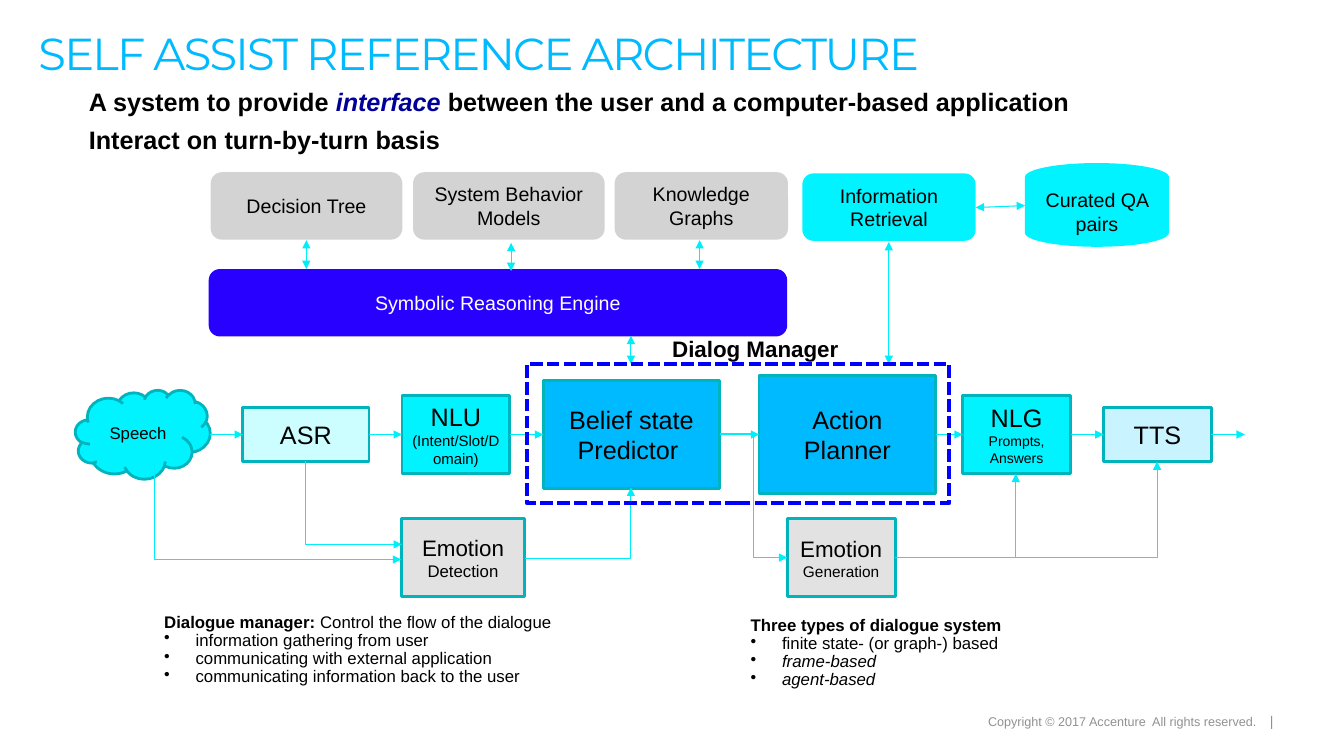
import dataclasses
import itertools

import lxml.etree
import pptx
import pptx.dml.color
import pptx.enum.dml
import pptx.enum.shapes
import pptx.enum.text
import pptx.oxml.ns
import pptx.util

Cm = pptx.util.Cm
Pt = pptx.util.Pt
SHAPE = pptx.enum.shapes.MSO_SHAPE
ALIGN = pptx.enum.text.PP_ALIGN
ANCHOR = pptx.enum.text.MSO_ANCHOR
qn = pptx.oxml.ns.qn


@dataclasses.dataclass(frozen=True)
class Theme:
    font: str = "Arial"
    title_font: str = "Montserrat"
    black: str = "000000"
    white: str = "FFFFFF"
    navy: str = "000099"
    footer: str = "919191"
    sky: str = "00BAFF"
    cyan: str = "00F3FF"
    ice: str = "CCFDFF"
    mist: str = "C9F3FF"
    silver: str = "D3D3D3"
    pale: str = "E2E2E2"
    engine: str = "2800FF"
    frame: str = "0000FF"
    edge: str = "00B4BD"
    arrow: str = "00EEF9"
    title: float = 32
    head: float = 18
    label: float = 16
    top: float = 14
    note: float = 12
    minor: float = 11
    slots: float = 10.7
    small: float = 10
    copyright: float = 9


T = Theme()
FLOW_Y = 10.95


def rgb(color):
    return pptx.dml.color.RGBColor.from_string(color)


def set_all(target, values):
    for name, value in values.items():
        setattr(target, name, value)


def add_run(p, text, size, color=T.black, font=T.font, **style):
    r = p.add_run()
    r.text = text
    set_all(r.font, {"name": font, "size": Pt(size), **style})
    r.font.color.rgb = rgb(color)
    return r


def write(tf, paragraphs, **layout):
    """Fill a frame; each paragraph is a list of (text, size, style) runs."""
    for i, runs in enumerate(paragraphs):
        p = tf.paragraphs[0] if i == 0 else tf.add_paragraph()
        set_all(p, layout)
        for text, size, style in runs:
            add_run(p, text, size, **style)


def set_bullet(p, indent=None):
    """Hang a bullet at the indent, or remove the inherited one."""
    pPr = p._p.get_or_add_pPr()
    pPr.set("marL", str(indent or 0))
    pPr.set("indent", str(-(indent or 0)))
    tag = "a:buChar" if indent else "a:buNone"
    bullet = lxml.etree.SubElement(pPr, qn(tag))
    if indent:
        bullet.set("char", "•")


def place(sp, left, top, width, height):
    set_all(sp, {"left": Cm(left), "top": Cm(top), "width": Cm(width), "height": Cm(height)})


def no_margins(tf):
    set_all(tf, dict.fromkeys(["margin_left", "margin_top", "margin_right", "margin_bottom"], 0))


def add_text(slide, left, top, width, height):
    tf = slide.shapes.add_textbox(Cm(left), Cm(top), Cm(width), Cm(height)).text_frame
    tf.word_wrap = True
    return tf


def add_box(slide, kind, at, fill, paragraphs, line=None, width=2):
    sp = slide.shapes.add_shape(kind, *map(Cm, at))
    sp.shadow.inherit = False
    if fill:
        sp.fill.solid()
        sp.fill.fore_color.rgb = rgb(fill)
    else:
        sp.fill.background()
    if line:
        sp.line.color.rgb = rgb(line)
        sp.line.width = Pt(width)
    else:
        sp.line.fill.background()
    set_all(sp.text_frame, {"word_wrap": True, "vertical_anchor": ANCHOR.MIDDLE})
    write(sp.text_frame, paragraphs, alignment=ALIGN.CENTER)
    return sp


def add_arrow(slide, start, end, ends=("tailEnd",), preset="line"):
    kind = pptx.enum.shapes.MSO_CONNECTOR
    kind = kind.STRAIGHT if preset == "line" else kind.ELBOW
    sp = slide.shapes.add_connector(kind, *map(Cm, start + end))
    sp.line.color.rgb = rgb(T.arrow)
    sp.line.width = Pt(0.75)
    spPr = sp._element.spPr
    spPr.find(qn("a:prstGeom")).set("prst", preset)
    for name in ends:
        lxml.etree.SubElement(spPr.find(qn("a:ln")), qn("a:" + name)).set("type", "triangle")
    lxml.etree.SubElement(spPr, qn("a:effectLst"))


def add_headings(slide):
    title, body = slide.shapes.title, slide.placeholders[1]
    place(title, 0.97, 0.91, 27.86, 2.16)
    place(body, 2.24, 2.26, 27.84, 1.83)
    for sp in (title, body):
        no_margins(sp.text_frame)
        set_all(sp.text_frame, {"word_wrap": True, "vertical_anchor": ANCHOR.TOP,
                                "auto_size": pptx.enum.text.MSO_AUTO_SIZE.NONE})
    p = title.text_frame.paragraphs[0]
    set_all(p, {"alignment": ALIGN.LEFT, "line_spacing": 0.8})
    r = add_run(p, "SELF ASSIST REFERENCE ARCHITECTURE", T.title, T.sky, T.title_font)
    r.font._element.set("spc", "-130")

    bold = {"bold": True}
    write(body.text_frame, [
        [("A system to provide ", T.head, bold),
         ("interface", T.head, {"bold": True, "italic": True, "color": T.navy}),
         (" between the user and a computer-based application", T.head, bold)],
        [("Interact on turn-by-turn basis", T.head, bold)],
    ], line_spacing=0.9)
    for p, before in zip(body.text_frame.paragraphs, (0, 8)):
        p.space_before = Pt(before)
        set_bullet(p)


def add_note(slide, at, heading, items):
    tf = add_text(slide, *at)
    write(tf, [heading] + [[(text, T.note, style)] for text, style in items], line_spacing=0.9)
    for p in tf.paragraphs[1:]:
        set_bullet(p, Cm(0.79))


def add_sources(slide):
    """Knowledge sources and the engine they feed."""
    for kind, at, fill, text, color in [
        (SHAPE.ROUNDED_RECTANGLE, (5.31, 4.34, 4.83, 1.7), T.silver, "Decision Tree", T.black),
        (SHAPE.ROUNDED_RECTANGLE, (10.41, 4.34, 4.83, 1.7), T.silver, "System Behavior Models", T.black),
        (SHAPE.ROUNDED_RECTANGLE, (15.49, 4.34, 4.37, 1.7), T.silver, "Knowledge Graphs", T.black),
        (SHAPE.ROUNDED_RECTANGLE, (20.22, 4.37, 4.37, 1.7), T.cyan, "Information Retrieval", T.black),
        (SHAPE.FLOWCHART_MAGNETIC_DISK, (25.83, 4.11, 3.63, 2.11), T.cyan, "Curated QA pairs", T.black),
        (SHAPE.ROUNDED_RECTANGLE, (5.26, 6.78, 14.58, 1.7), T.engine, "Symbolic Reasoning Engine", T.white),
    ]:
        add_box(slide, kind, at, fill, [[(text, T.top, {"color": color})]])
    for start, end in [
        ((7.72, 6.05), (7.72, 6.78)), ((12.88, 6.12), (12.88, 6.83)),
        ((17.63, 6.05), (17.63, 6.78)), ((15.9, 8.46), (15.9, 9.17)),
        ((22.4, 9.17), (22.4, 6.1)), ((24.59, 5.23), (25.83, 5.18)),
    ]:
        add_arrow(slide, start, end, ("headEnd", "tailEnd"))


def add_pipeline(slide):
    """Main row, centred on FLOW_Y, with an arrow between neighbours."""
    stages = [
        (SHAPE.CLOUD, 1.9, 3.4, 2.24, T.cyan, [[("Speech", T.note, {})]]),
        (SHAPE.RECTANGLE, 6.12, 3.18, 1.37, T.ice, [[("ASR", T.head, {})]]),
        (SHAPE.RECTANGLE, 10.13, 2.72, 1.98, T.cyan,
         [[("NLU ", T.head, {}), ("(Intent/Slot/Domain)", T.slots, {})]]),
        (SHAPE.RECTANGLE, 13.69, 4.45, 2.72, T.sky, [[("Belief state Predictor ", T.head, {})]]),
        (SHAPE.RECTANGLE, 19.13, 4.45, 2.97, T.sky, [[("Action Planner", T.head, {})]]),
        (SHAPE.RECTANGLE, 24.26, 2.72, 1.98, T.cyan,
         [[("NLG", T.head, {})], [("Prompts, Answers", T.small, {})]]),
        (SHAPE.RECTANGLE, 27.81, 2.72, 1.37, T.mist, [[("TTS", T.head, {})]]),
    ]
    for kind, left, width, height, fill, text in stages:
        add_box(slide, kind, (left, FLOW_Y - height / 2, width, height), fill, text, T.edge)
    for a, b in itertools.pairwise(stages):
        add_arrow(slide, (a[1] + a[2], FLOW_Y), (b[1], FLOW_Y))
    add_arrow(slide, (30.53, FLOW_Y), (31.37, FLOW_Y))


def add_emotion(slide):
    for left, width, paragraphs in [
        (10.11, 3.12, [[("Emotion ", T.label, {}), ("Detection", T.note, {})]]),
        (19.84, 2.72, [[("Emotion", T.label, {})], [("Generation", T.minor, {})]]),
    ]:
        add_box(slide, SHAPE.RECTANGLE, (left, 13.06, width, 1.98), T.pale, paragraphs, T.edge)
    for start, end, tip in [
        ((10.11, 14.1), (3.89, 11.66), "headEnd"), ((10.13, 13.72), (7.7, 11.63), "headEnd"),
        ((13.23, 14.07), (15.9, 12.29), "tailEnd"), ((22.56, 14.05), (25.6, 11.94), "tailEnd"),
        ((25.6, 14.05), (29.16, 11.63), "tailEnd"),
    ]:
        add_arrow(slide, start, end, (tip,), "bentConnector2")
    add_arrow(slide, (18.14, 10.92), (19.84, 14.05), preset="bentConnector3")


def add_manager(slide):
    frame = add_box(slide, SHAPE.RECTANGLE, (13.28, 9.17, 10.64, 3.51), None, [], T.frame, 3)
    frame.line.dash_style = pptx.enum.dml.MSO_LINE.SQUARE_DOT
    write(add_text(slide, 16.69, 8.31, 5.79, 0.94), [[("Dialog Manager", T.label, {"bold": True})]])


def add_copyright(slide):
    tf = add_text(slide, 24.9, 17.96, 8, 0.5)
    no_margins(tf)
    p = tf.paragraphs[0]
    tabs = lxml.etree.SubElement(p._p.get_or_add_pPr(), qn("a:tabLst"))
    lxml.etree.SubElement(tabs, qn("a:tab"), pos=str(Cm(7.1)), algn="l")
    add_run(p, "Copyright © 2017 Accenture  All rights reserved.", T.copyright, T.footer)
    add_run(p, "\t|", T.small, T.footer)


def main():
    prs = pptx.Presentation()
    set_all(prs, {"slide_width": Cm(33.87), "slide_height": Cm(19.05)})
    slide = prs.slides.add_slide(prs.slide_layouts[1])
    add_headings(slide)
    add_sources(slide)
    add_pipeline(slide)
    add_emotion(slide)
    add_manager(slide)
    add_note(slide, (3.89, 15.34, 14.58, 2.11),
             [("Dialogue manager: ", T.note, {"bold": True}),
              ("Control the flow of the dialogue", T.note, {})],
             [("information gathering from user", {}),
              ("communicating with external application", {}),
              ("communicating information back to the user", {})])
    add_note(slide, (18.67, 15.42, 7.34, 2.11),
             [("Three types of dialogue system", T.note, {"bold": True})],
             [("finite state- (or graph-) based", {}),
              ("frame-based", {"italic": True}), ("agent-based", {"italic": True})])
    add_copyright(slide)
    prs.save("out.pptx")


if __name__ == "__main__":
    main()
